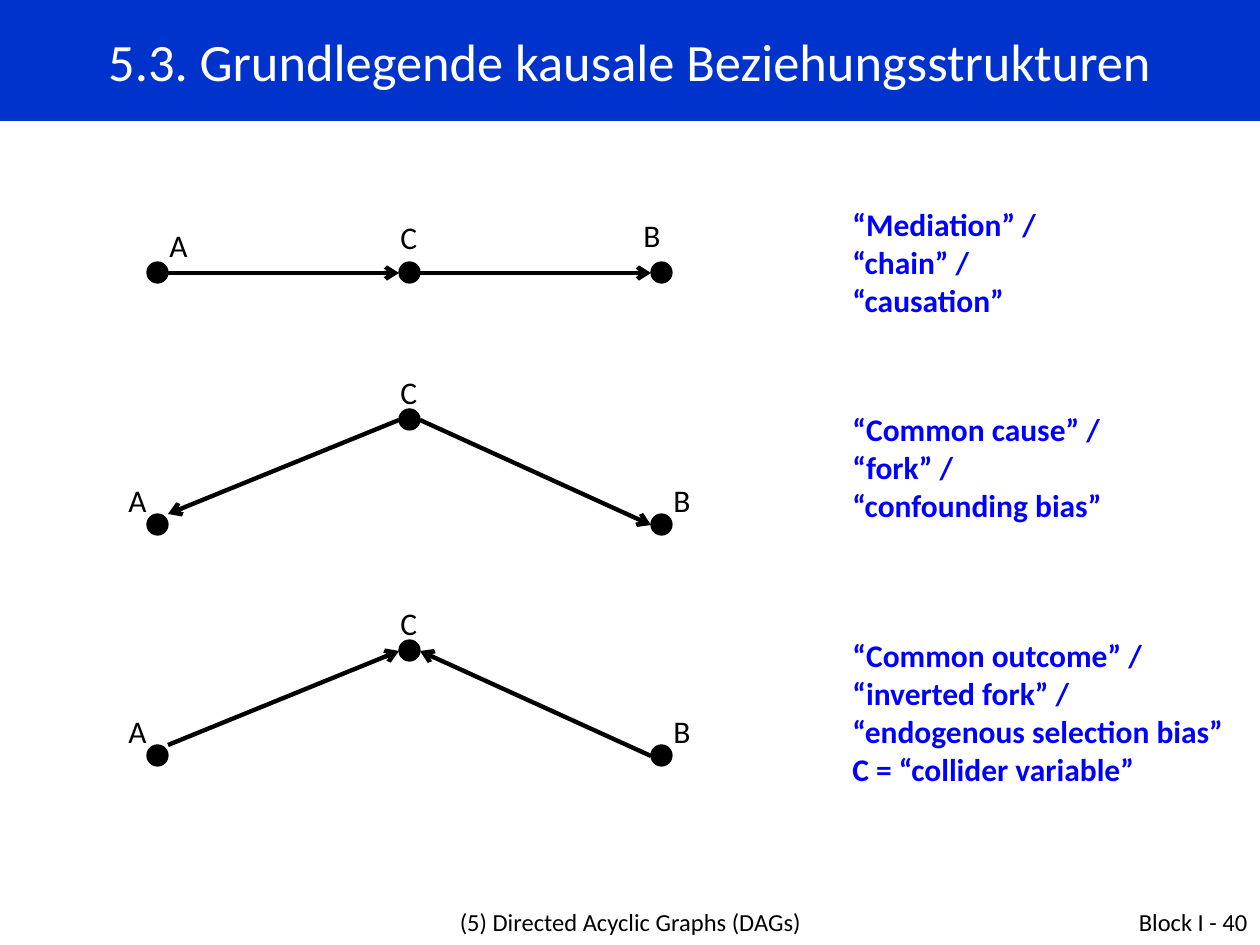
from lxml import etree
from pptx import Presentation
from pptx.dml.color import RGBColor
from pptx.enum.shapes import MSO_CONNECTOR, MSO_SHAPE
from pptx.enum.text import MSO_ANCHOR, MSO_AUTO_SIZE, PP_ALIGN
from pptx.oxml.ns import qn
from pptx.util import Emu, Pt

LEFT, CENTER, RIGHT = PP_ALIGN.LEFT, PP_ALIGN.CENTER, PP_ALIGN.RIGHT
MIDDLE = MSO_ANCHOR.MIDDLE
NO_FIT, GROW = MSO_AUTO_SIZE.NONE, MSO_AUTO_SIZE.SHAPE_TO_FIT_TEXT
STRAIGHT, OVAL = MSO_CONNECTOR.STRAIGHT, MSO_SHAPE.OVAL

EMU_PER_PX = 914400 / 126
FONT = "Calibri"
COLORS = {"band": "0033CC", "white": "FFFFFF", "black": "000000", "term": "0000FF"}

NODE_SIZE = 21
NODE_MIDDLE = 11
NODE_LEFT = {"A": 147, "C": 399, "B": 651}
BENT_LABELS = {"A": (-31, -39), "C": (-11, -42), "B": (10, -39)}

STRUCTURES = [
    {
        "tops": {"A": 262, "C": 262, "B": 262},
        "labels": {"A": (10, -42), "C": (-11, -50), "B": (-20, -52)},
        "arrows": ["AC", "CB"],
        "lift": 0,
        "box": (840, 199, 336, 127),
        "terms": ["“Mediation” /", "“chain” /", "“causation”"],
    },
    {
        "tops": {"A": 514, "C": 409, "B": 514},
        "labels": BENT_LABELS,
        "arrows": ["CA", "CB"],
        "lift": 11,
        "box": (840, 404, 399, 127),
        "terms": ["“Common cause” /", "“fork” /", "“confounding bias”"],
    },
    {
        "tops": {"A": 745, "C": 640, "B": 745},
        "labels": BENT_LABELS,
        "arrows": ["AC", "BC"],
        "lift": 11,
        "box": (840, 630, 399, 166),
        "terms": [
            "“Common outcome” / “inverted fork” /",
            "“endogenous selection bias”",
            "C = “collider variable”",
        ],
    },
]


def px(value):
    return Emu(round(value * EMU_PER_PX))


def color(name):
    return RGBColor.from_string(COLORS[name])


def write_lines(frame, lines, size, tint, align=LEFT, bold=False):
    for index, line in enumerate(lines):
        para = frame.paragraphs[0] if index == 0 else frame.add_paragraph()
        para.alignment = align
        span = para.add_run()
        span.text = line
        span.font.name = FONT
        span.font.size = Pt(size)
        span.font.bold = bold
        span.font.color.rgb = color(tint)


def add_title(page, text):
    title = page.shapes.title
    title.left, title.top, title.width, title.height = map(px, (0, 0, 1260, 121))
    title.fill.solid()
    title.fill.fore_color.rgb = color("band")
    frame = title.text_frame
    frame.auto_size = NO_FIT
    frame.vertical_anchor = MIDDLE
    write_lines(frame, [text], 30, "white", CENTER)


def add_text(page, place, lines, size=18, tint="black", align=LEFT, bold=False, fit=GROW):
    box = page.shapes.add_textbox(*map(px, place))
    frame = box.text_frame
    frame.word_wrap = True
    frame.auto_size = fit
    write_lines(frame, lines, size, tint, align, bold)


def add_node(page, left, top):
    node = page.shapes.add_shape(OVAL, *map(px, (left, top, NODE_SIZE, NODE_SIZE)))
    node.shadow.inherit = False
    node.fill.solid()
    node.fill.fore_color.rgb = color("black")
    node.line.color.rgb = color("black")
    node.line.width = Pt(0.75)


def add_arrow(page, start, end):
    arrow = page.shapes.add_connector(STRAIGHT, *map(px, start + end))
    arrow.line.color.rgb = color("black")
    arrow.line.width = Pt(2.5)
    outline = arrow.line._get_or_add_ln()
    etree.SubElement(outline, qn("a:tailEnd"), type="arrow")
    etree.SubElement(arrow._element.spPr, qn("a:effectLst"))


def arrow_point(structure, name, other):
    order = "ACB"
    x = NODE_LEFT[name]
    if order.index(name) < order.index(other):
        x += NODE_SIZE
    y = structure["tops"][name] + NODE_MIDDLE
    if name == "A":
        y -= structure["lift"]
    return x, y


def add_structure(page, structure):
    for start, end in structure["arrows"]:
        add_arrow(page, arrow_point(structure, start, end), arrow_point(structure, end, start))
    for name, top in structure["tops"].items():
        left = NODE_LEFT[name]
        shift_x, shift_y = structure["labels"][name]
        add_node(page, left, top)
        add_text(page, (left + shift_x, top + shift_y, 63, 50), [name])
    add_text(page, structure["box"], structure["terms"], tint="term", bold=True)


def main():
    deck = Presentation()
    deck.slide_width, deck.slide_height = px(1260), px(945)
    page = deck.slides.add_slide(deck.slide_layouts[5])
    add_title(page, "5.3. Grundlegende kausale Beziehungsstrukturen")
    for structure in STRUCTURES:
        add_structure(page, structure)
    add_text(page, (305, 901, 651, 44), ["(5) Directed Acyclic Graphs (DAGs)"], 14, align=CENTER, fit=NO_FIT)
    add_text(page, (966, 901, 294, 44), ["Block I - 40"], 14, align=RIGHT, fit=NO_FIT)
    deck.save("out.pptx")


if __name__ == "__main__":
    main()
